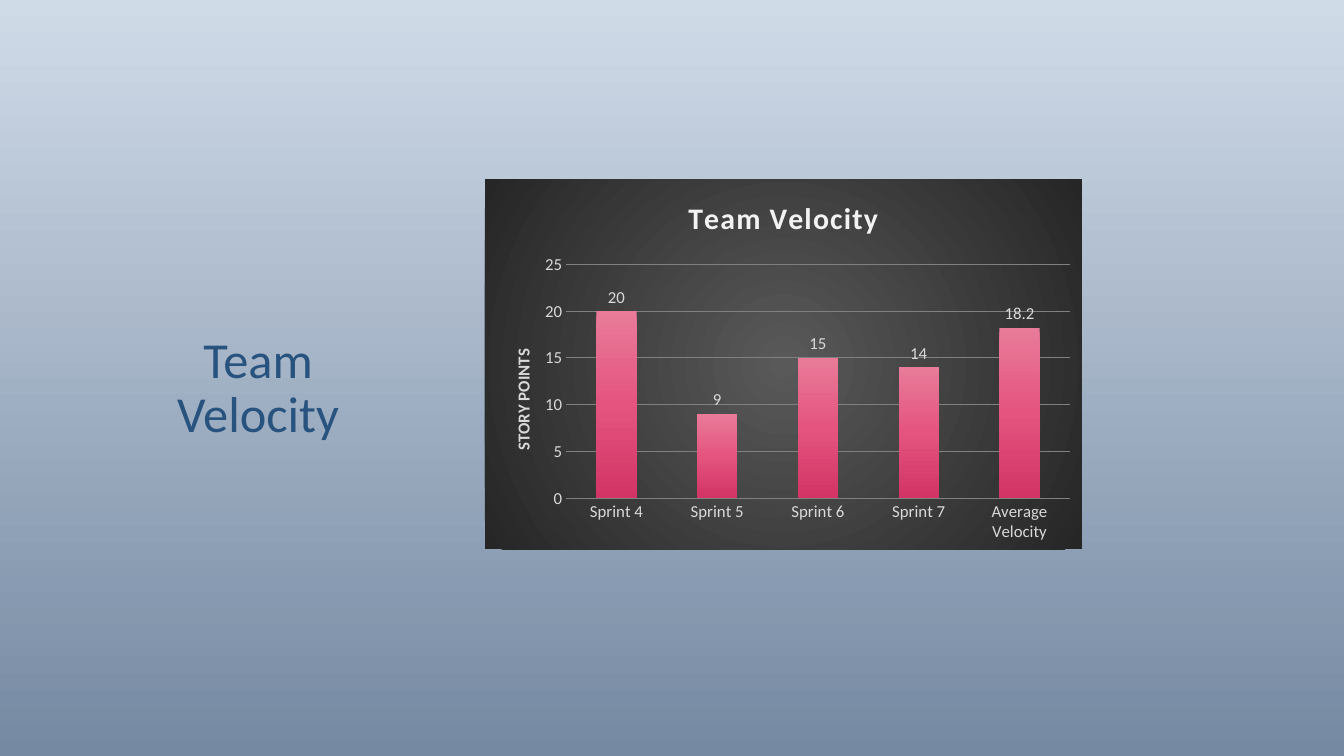
from lxml.etree import SubElement
from pptx import Presentation
from pptx.chart.data import CategoryChartData
from pptx.dml.color import RGBColor
from pptx.enum.chart import XL_CHART_TYPE, XL_LABEL_POSITION, XL_TICK_MARK
from pptx.enum.text import MSO_ANCHOR, PP_ALIGN
from pptx.oxml import parse_xml
from pptx.oxml.ns import nsdecls, qn
from pptx.util import Inches, Pt

HEADING = "Team Velocity"
AXIS_TITLE = "STORY POINTS"
VELOCITY = {
    "Sprint 4": 20,
    "Sprint 5": 9,
    "Sprint 6": 15,
    "Sprint 7": 14,
    "Average Velocity": 18.2,
}
FONT = "Calibri"
COLORS = {
    "heading": "27537E",
    "chart_title": "F2F2F2",
    "chart_text": "D9D9D9",
    "grid": "808080",
}
BACKGROUND = ("D0DBE8", "7589A2")
PANEL = ("595959", "262626")
COLUMN = ("E97B99", "E4547F", "D23465")
DOWNWARD = '<a:lin ang="5400000" scaled="0"/>'
RADIAL = ('<a:path path="circle"><a:fillToRect l="50000" t="50000" '
          'r="50000" b="50000"/></a:path>')


def gradient(colors, direction):
    step = 100000 // (len(colors) - 1)
    stops = "".join(
        f'<a:gs pos="{index * step}"><a:srgbClr val="{color}"/></a:gs>'
        for index, color in enumerate(colors)
    )
    return f"<a:gradFill><a:gsLst>{stops}</a:gsLst>{direction}</a:gradFill>"


def style_font(font, size, color, bold=False):
    font.name = FONT
    font.size = Pt(size)
    font.bold = bold
    font.color.rgb = RGBColor.from_string(COLORS[color])


def place(element, position, **settings):
    existing = element.find(qn("c:layout"))
    if existing is not None:
        element.remove(existing)
    layout = parse_xml(f'<c:layout {nsdecls("c")}/>')
    manual = SubElement(layout, qn("c:manualLayout"))
    for name, value in settings.items():
        SubElement(manual, qn(f"c:{name}")).set("val", str(value))
    element.insert(position, layout)


def add_heading(slide):
    box = slide.shapes.add_textbox(Inches(1.12), Inches(2.15), Inches(2.88), Inches(2.79))
    frame = box.text_frame
    frame.word_wrap = True
    frame.vertical_anchor = MSO_ANCHOR.MIDDLE
    frame.margin_top = Inches(0.68)
    paragraph = frame.paragraphs[0]
    paragraph.text = HEADING
    paragraph.alignment = PP_ALIGN.CENTER
    paragraph.line_spacing = 0.9
    style_font(paragraph.font, 36, "heading")


def add_velocity_chart(slide):
    data = CategoryChartData()
    data.categories = VELOCITY.keys()
    data.add_series("Series 1", VELOCITY.values())
    chart = slide.shapes.add_chart(
        XL_CHART_TYPE.COLUMN_CLUSTERED,
        Inches(4.81), Inches(1.78), Inches(5.92), Inches(3.67), data,
    ).chart
    chart.has_legend = False
    style_font(chart.font, 12, "chart_text")

    chart.has_title = True
    chart.chart_title.include_in_layout = False
    title = chart.chart_title.text_frame.paragraphs[0]
    title.text = HEADING
    style_font(title.font, 21.3, "chart_title", bold=True)
    title.font._element.set("spc", "100")

    for axis in (chart.category_axis, chart.value_axis):
        axis.major_tick_mark = XL_TICK_MARK.NONE
        axis.minor_tick_mark = XL_TICK_MARK.NONE
        axis.format.line.fill.background()
        style_font(axis.tick_labels.font, 12, "chart_text")

    points = chart.value_axis
    points.minimum_scale, points.maximum_scale, points.major_unit = 0, 25, 5
    grid = points.major_gridlines.format.line
    grid.color.rgb = RGBColor.from_string(COLORS["grid"])
    grid.width = Pt(0.75)
    points.has_title = True
    axis_title = points.axis_title.text_frame.paragraphs[0]
    axis_title.text = AXIS_TITLE
    style_font(axis_title.font, 12, "chart_text", bold=True)
    body = points.axis_title.text_frame._txBody.find(qn("a:bodyPr"))
    body.set("rot", "-5400000")
    body.set("vert", "horz")
    place(points.axis_title._element, 1, xMode="edge", yMode="edge", x=0.04, y=0.45)

    plot = chart.plots[0]
    plot.gap_width = 150
    plot.vary_by_categories = False
    plot.has_data_labels = True
    labels = plot.data_labels
    labels.show_value = True
    labels.position = XL_LABEL_POSITION.OUTSIDE_END
    style_font(labels.font, 12, "chart_text")
    column = parse_xml(
        f'<c:spPr {nsdecls("c", "a")}>{gradient(COLUMN, DOWNWARD)}</c:spPr>'
    )
    plot.series[0]._element.get_or_add_spPr().insert(0, column[0])

    chart_space = chart._chartSpace
    chart_space.chart.addnext(parse_xml(
        f'<c:spPr {nsdecls("c", "a")}>{gradient(PANEL, RADIAL)}'
        '<a:ln><a:noFill/></a:ln></c:spPr>'
    ))
    place(chart_space.chart.plotArea, 0, layoutTarget="inner", xMode="edge",
          yMode="edge", x=0.136, y=0.23, w=0.844, h=0.632)


def main():
    presentation = Presentation()
    presentation.slide_width = Inches(13.33)
    presentation.slide_height = Inches(7.5)
    slide = presentation.slides.add_slide(presentation.slide_layouts[6])
    fill = slide.background.fill
    fill.gradient()
    fill.gradient_angle = 270
    for stop, color in zip(fill.gradient_stops, BACKGROUND):
        stop.color.rgb = RGBColor.from_string(color)
    add_heading(slide)
    add_velocity_chart(slide)
    presentation.save("out.pptx")


if __name__ == "__main__":
    main()
